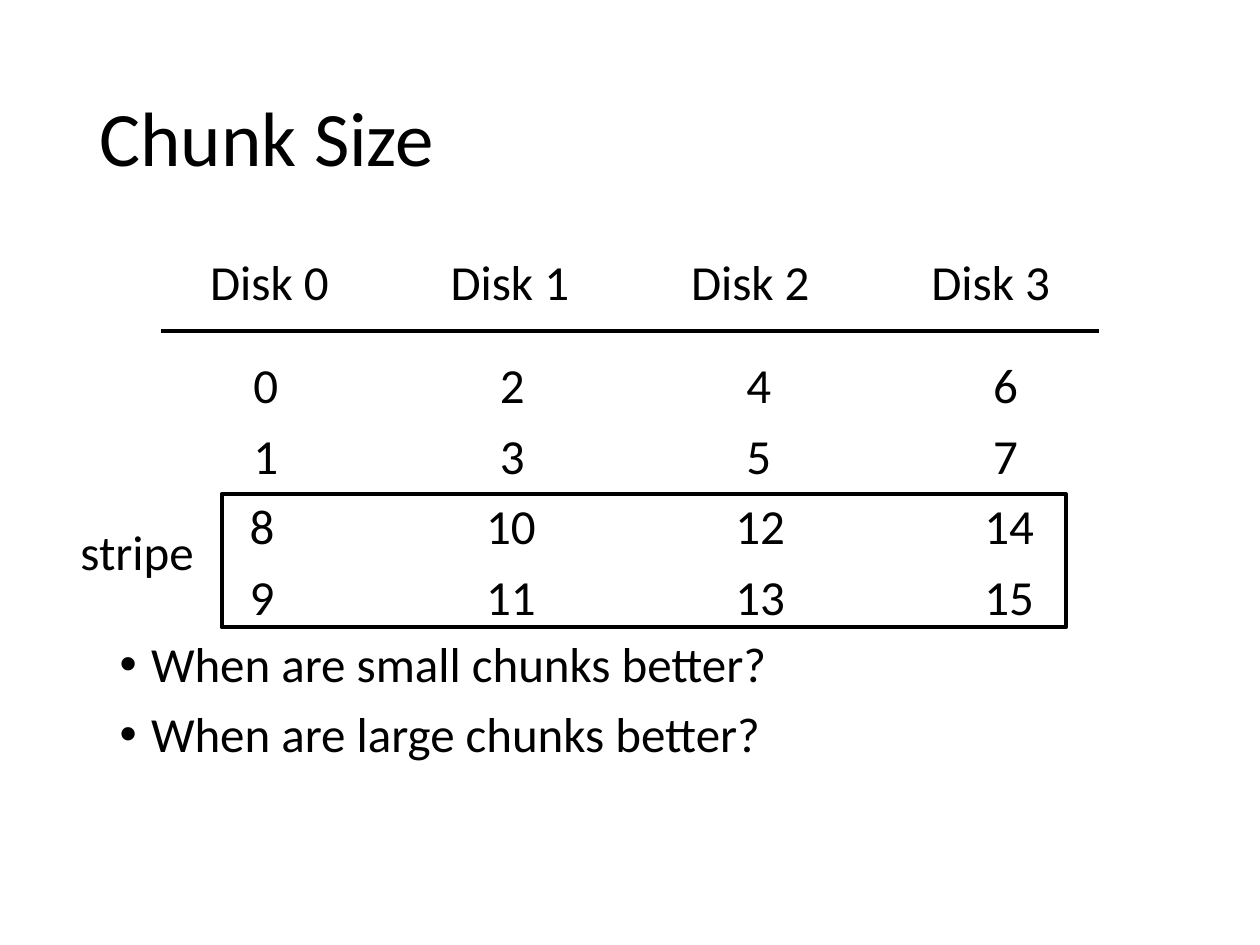
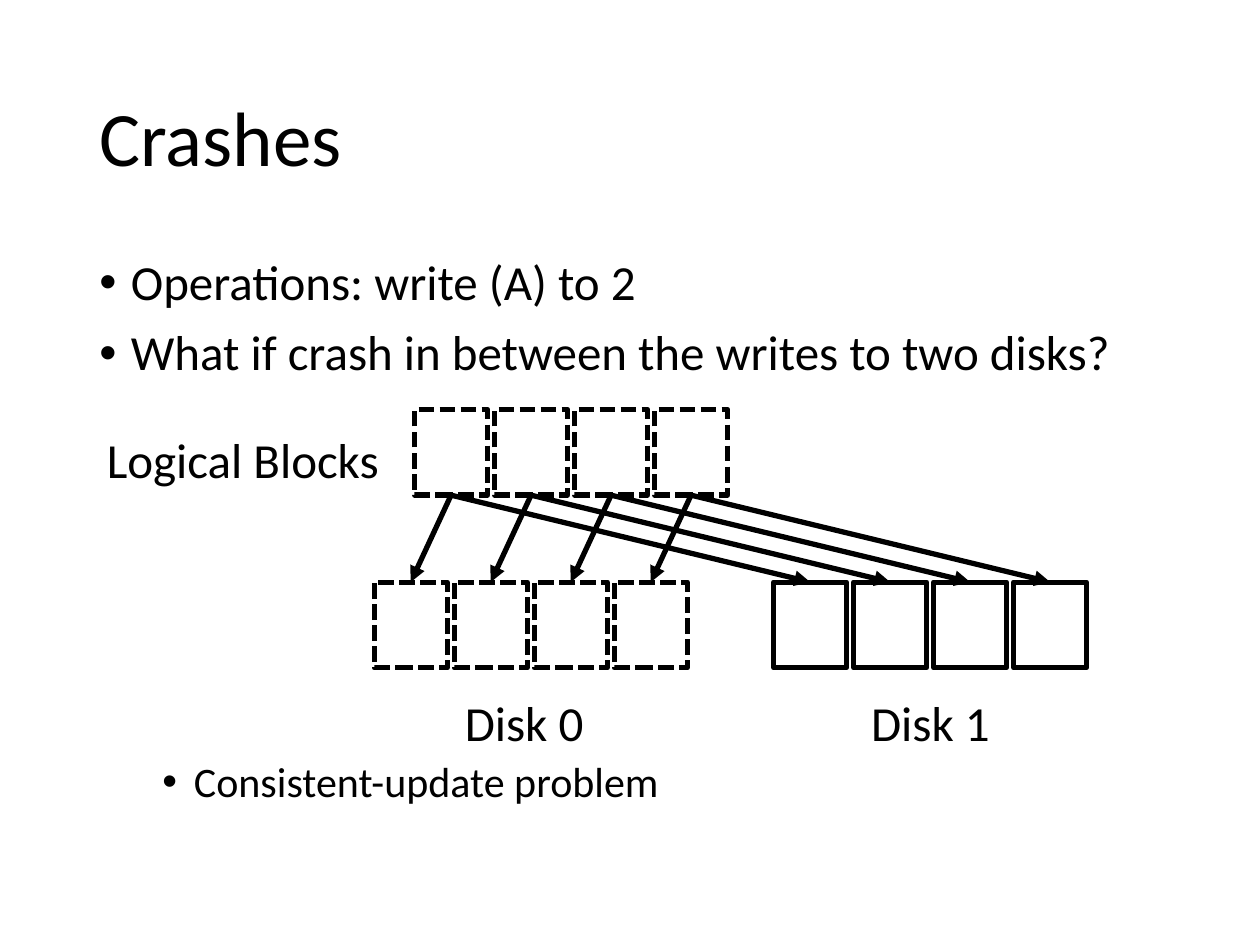
from collections import namedtuple
from lxml.etree import SubElement as Sub
from pptx import Presentation
from pptx.dml.color import RGBColor as Rgb
from pptx.enum.dml import MSO_LINE as Dash
from pptx.enum.shapes import MSO_CONNECTOR as Link, MSO_SHAPE as Shape
from pptx.enum.text import MSO_ANCHOR as Anchor, PP_ALIGN as Align
from pptx.oxml.ns import qn
from pptx.util import Inches, Pt

COLORS = {"ink": "000000", "page": "FFFFFF"}
FONT = "Calibri"
COLS, ROWS = 100, 75
UNIT = Inches(10) // COLS
PAD = 1

Box = namedtuple("Box", "x y w h")
Line = namedtuple("Line", "text size level before align tabs spacing",
                  defaults=(28, None, 0, Align.LEFT, (), 0.9))

TITLE = Box(6.9, 4, 86.2, 14.5)
BODY = Box(6.9, 20, 86.2, 47.6)


def span(*units):
    """Turn grid units into slide lengths."""
    return [round(u * UNIT) for u in units]


def ink(name):
    """Look up a colour by name."""
    return Rgb.from_string(COLORS[name])


def marks(para, line):
    """Add the bullet and tab stops that a line asks for."""
    props = para._p.get_or_add_pPr()
    if line.level is not None:
        props.set("marL", str(Inches(0.25 + 0.5 * line.level)))
        props.set("indent", str(-Inches(0.25)))
        Sub(props, qn("a:buFont"), typeface="Arial")
        Sub(props, qn("a:buChar"), char="•")
    if line.tabs:
        stops = Sub(props, qn("a:tabLst"))
        for pos in line.tabs:
            Sub(stops, qn("a:tab"), pos=str(round(pos * UNIT)), algn="ctr")


def write(slide, box, lines, anchor=Anchor.TOP, wrap=True):
    """Write lines of text into a box."""
    frame = slide.shapes.add_textbox(*span(*box)).text_frame
    frame.word_wrap, frame.vertical_anchor = wrap, anchor
    for i, line in enumerate(lines):
        para = frame.add_paragraph() if i else frame.paragraphs[0]
        marks(para, line)
        para.level = line.level or 0
        para.alignment, para.line_spacing = line.align, line.spacing
        para.space_before = Pt(line.before)
        run = para.add_run()
        run.text = line.text
        run.font.name, run.font.size = FONT, Pt(line.size)
        run.font.color.rgb = ink("ink")


def stroke(item, width, dash=None):
    """Draw the outline of a shape or line in ink."""
    item.line.color.rgb = ink("ink")
    item.line.width = Pt(width)
    if dash:
        item.line.dash_style = dash


def frame_box(slide, box, width, dash=None):
    """Draw an open rectangle."""
    rect = slide.shapes.add_shape(Shape.RECTANGLE, *span(*box))
    rect.shadow.inherit = False
    rect.fill.background()
    stroke(rect, width, dash)


def link(slide, start, end, width, arrow=False):
    """Draw a straight line, with an arrowhead if wanted."""
    item = slide.shapes.add_connector(Link.STRAIGHT, *span(*start, *end))
    stroke(item, width)
    if arrow:
        Sub(item.line._get_or_add_ln(), qn("a:tailEnd"), type="triangle")
    Sub(item._element.spPr, qn("a:effectLst"))


def start(deck, title):
    """Add a blank slide with its title."""
    slide = deck.slides.add_slide(deck.slide_layouts[6])
    slide.background.fill.solid()
    slide.background.fill.fore_color.rgb = ink("page")
    write(slide, TITLE, [Line(title, 44)], Anchor.MIDDLE)
    return slide


def disk_grid(slide, box):
    """Lay out the disk heads, their chunks and the marked stripe."""
    def row(cells, first, step, before=10):
        tabs = [first + step * i for i in range(len(cells))]
        return Line("".join(f"\t{c}" for c in cells), before=before, tabs=tabs)

    rows = [row([f"Disk {n}" for n in range(4)], 13.5, 19.08, 0)]
    for base in (0, 8):
        first, step = (13.2, 19.57) if base == 0 else (12.9, 19.77)
        for n in (base, base + 1):
            before = 10 if n else 28.8
            rows.append(row(range(n, n + 8, 2), first, step, before))
    write(slide, box, rows)
    rule = box.y + 6.3
    link(slide, (box.x + 5.9, rule), (box.x + box.w - 5.9, rule), 2.25)
    frame_box(slide, Box(box.x + 10.7, box.y + 19.2, 67, 10.6), 2.25)
    label = Box(box.x - 1.5, box.y + 20.9, 11.1, 5.7)
    write(slide, label, [Line("stripe", spacing=1)], wrap=False)


def block_map(slide, box):
    """Draw logical blocks and arrows to their copies on both disks."""
    wide, high, pitch, drop = 5.8, 6.8, 6.35, 13.7
    lower = box.y + drop
    groups = [(box.x + 3.2, box.y, Dash.SQUARE_DOT),
              (box.x, lower, Dash.SQUARE_DOT),
              (box.x + 31.7, lower, None)]
    for left, top, dash in groups:
        for i in range(4):
            frame_box(slide, Box(left + i * pitch, top, wide, high), 3, dash)
    for i in range(4):
        mid = i * pitch + wide / 2
        for left, top, _ in groups[1:]:
            link(slide, (groups[0][0] + mid, box.y + high),
                 (left + mid, top), 3, True)
    write(slide, Box(box.x - 22.2, box.y + 1.6, 25, 5.7),
          [Line("Logical Blocks")])
    for n, mid in enumerate((11.9, 44.15)):
        write(slide, Box(box.x + mid - 8, box.y + 22.5, 16, 5.7),
              [Line(f"Disk {n}", align=Align.CENTER)])


def chunk_slide(deck):
    """Build the slide on chunk size."""
    slide = start(deck, "Chunk Size")
    disk_grid(slide, BODY)
    write(slide, Box(8.5, 50.3, 88.1, 18.9), [
        Line("When are small chunks better?", level=0),
        Line("When are large chunks better?", level=0, before=10)])


def crash_slide(deck):
    """Build the slide on crashes."""
    slide = start(deck, "Crashes")
    write(slide, BODY._replace(h=12), [
        Line("Operations: write (A) to 2", level=0),
        Line("What if crash in between the writes to two disks?",
             level=0, before=10)])
    block_map(slide, Box(29.7, 32.5, 56.6, 33))
    write(slide, BODY._replace(y=59.9, h=5),
          [Line("Consistent-update problem", 24, 1)])


def main():
    """Build and save the deck."""
    deck = Presentation()
    deck.slide_width, deck.slide_height = span(COLS, ROWS)
    chunk_slide(deck)
    crash_slide(deck)
    deck.save("out.pptx")


if __name__ == "__main__":
    main()
